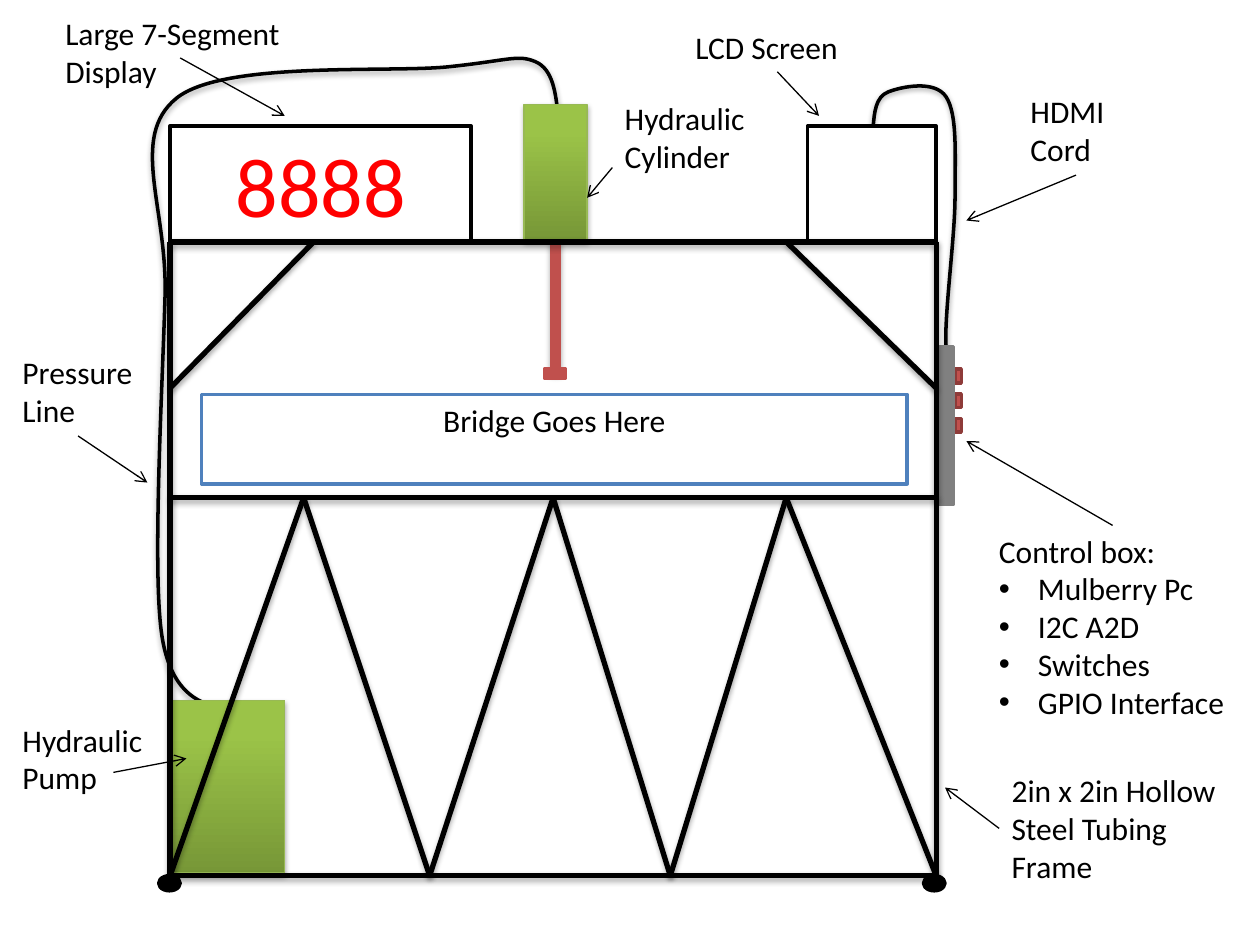
from itertools import pairwise

from lxml.etree import SubElement
from pptx import Presentation
from pptx.dml.color import RGBColor
from pptx.enum.shapes import MSO_CONNECTOR, MSO_SHAPE
from pptx.enum.text import MSO_ANCHOR, MSO_AUTO_SIZE, PP_ALIGN
from pptx.oxml.ns import qn
from pptx.util import Inches, Pt

BLACK, WHITE, RED, GREY = "000000", "FFFFFF", "C0504D", "808080"
TOP_SIDE, LEFT_SIDE, BOTTOM_SIDE = 0, 1, 2


def rgb(code):
    return RGBColor.from_string(code)


class Diagram:
    font = "Calibri"
    size = 18
    indent = Inches(0.31)

    def __init__(self, slide):
        self.shapes = slide.shapes

    def effects(self, sp, shadow):
        """Replace the theme effect with a soft drop shadow or with nothing."""
        effects = SubElement(sp._element.spPr, qn("a:effectLst"))
        if shadow:
            outer = SubElement(effects, qn("a:outerShdw"), blurRad=str(Pt(3.1)),
                               dist=str(Pt(1.8)), dir="5400000", rotWithShape="0")
            color = SubElement(outer, qn("a:srgbClr"), val=BLACK)
            SubElement(color, qn("a:alpha"), val="35000")

    def stroke(self, sp, color, width):
        sp.line.color.rgb = rgb(color)
        sp.line.width = Pt(width)

    def shape(self, box, fill, line, width=2, kind=MSO_SHAPE.RECTANGLE):
        sp = self.shapes.add_shape(kind, *map(Inches, box))
        sp.fill.solid()
        sp.fill.fore_color.rgb = rgb(fill)
        self.stroke(sp, line, width)
        self.effects(sp, False)
        return sp

    def hydraulic_part(self, box):
        """Green gradient block, dark at the bottom."""
        sp = self.shapes.add_shape(MSO_SHAPE.RECTANGLE, *map(Inches, box))
        sp.fill.gradient()
        sp.fill.gradient_angle = 90
        stops = ((0, "779737"), (0.8, "9BC348"))
        for stop, (position, color) in zip(sp.fill.gradient_stops, stops):
            stop.position = position
            stop.color.rgb = rgb(color)
        self.stroke(sp, "98B955", 0.75)
        self.effects(sp, True)
        return sp

    def line(self, start, end, color=BLACK, width=3, shadow=True):
        sp = self.shapes.add_connector(MSO_CONNECTOR.STRAIGHT,
                                       *map(Inches, (*start, *end)))
        self.stroke(sp, color, width)
        self.effects(sp, shadow)
        return sp

    def cable(self, points):
        """Cubic Bezier curve: a start point, then three points per segment."""
        start, *rest = [(Inches(x), Inches(y)) for x, y in points]
        builder = self.shapes.build_freeform(*start)
        builder.add_line_segments(rest, close=False)
        sp = builder.convert_to_shape()
        sp.fill.background()
        self.stroke(sp, BLACK, 2)
        self.effects(sp, True)
        track = next(sp._element.iter(qn("a:path")))
        steps = track.findall(qn("a:lnTo"))
        for i in range(0, len(steps), 3):
            curve = SubElement(track, qn("a:cubicBezTo"))
            for step in steps[i:i + 3]:
                curve.append(step[0])
                track.remove(step)

    def run(self, p, text, color=BLACK, size=None):
        r = p.add_run()
        r.text = text
        r.font.name = self.font
        r.font.size = Pt(size or self.size)
        r.font.color.rgb = rgb(color)

    def caption(self, sp, text, color=BLACK, size=None, anchor=MSO_ANCHOR.MIDDLE):
        tf = sp.text_frame
        tf.word_wrap = True
        tf.vertical_anchor = anchor
        p = tf.paragraphs[0]
        p.alignment = PP_ALIGN.CENTER
        self.run(p, text, color, size)

    def label(self, box, lines, bullets=()):
        sp = self.shapes.add_textbox(*map(Inches, box))
        tf = sp.text_frame
        tf.word_wrap = True
        tf.auto_size = MSO_AUTO_SIZE.SHAPE_TO_FIT_TEXT
        for i, text in enumerate((*lines, *bullets)):
            p = tf.add_paragraph() if i else tf.paragraphs[0]
            if i >= len(lines):
                pPr = p._p.get_or_add_pPr()
                pPr.set("marL", str(self.indent))
                pPr.set("indent", str(-self.indent))
                SubElement(pPr, qn("a:buFont"), typeface="Arial")
                SubElement(pPr, qn("a:buChar"), char="•")
            self.run(p, text)
        return sp

    def callout(self, box, lines, start, end, bullets=()):
        """Label with an arrow; start is a side of the label or a point."""
        sp = self.label(box, lines, bullets)
        free = isinstance(start, tuple)
        arrow = self.line(start if free else end, end, width=0.75, shadow=False)
        if not free:
            arrow.begin_connect(sp, start)
        SubElement(arrow.line._get_or_add_ln(), qn("a:tailEnd"), type="arrow")


LEFT, RIGHT, TOP, DECK, BASE = 1.35, 7.43, 1.92, 3.95, 6.95
BRACE_Y = 3.08
HDMI_CORD = [(6.93, 1.01), (6.94, 0.89), (6.95, 0.77), (7.05, 0.73),
             (7.15, 0.69), (7.42, 0.63), (7.51, 0.77),
             (7.6, 0.91), (7.58, 1.23), (7.58, 1.57),
             (7.58, 1.91), (7.47, 2.68), (7.52, 2.81)]
PRESSURE_LINE = [(4.43, 0.92), (4.41, 0.74), (4.39, 0.55), (4.25, 0.49),
                 (4.11, 0.43), (4.04, 0.48), (3.56, 0.53),
                 (3.09, 0.58), (1.77, 0.48), (1.4, 0.78),
                 (1.02, 1.09), (1.33, 1.65), (1.31, 2.35),
                 (1.29, 3.06), (1.21, 4.47), (1.28, 5.01),
                 (1.35, 5.56), (1.65, 5.58), (1.73, 5.62)]
CALLOUTS = [
    ((8.08, 0.68, 0.92, 0.71), ["HDMI Cord"], BOTTOM_SIDE, (7.67, 1.75)),
    ((5.42, 0.17, 1.5, 0.4), ["LCD Screen"], BOTTOM_SIDE, (6.5, 0.92)),
    ((0.42, 0.06, 2.13, 0.71), ["Large 7-Segment Display"], (1.43, 0.46), (2.26, 0.92)),
    ((4.86, 0.74, 1.31, 0.71), ["Hydraulic", "Cylinder"], (4.86, 1.33), (4.66, 1.57)),
    ((0.08, 2.75, 1.08, 0.71), ["Pressure", "Line"], BOTTOM_SIDE, (1.17, 3.83)),
    ((0.08, 5.67, 1.18, 0.71), ["Hydraulic Pump"], (0.9, 6.13), (1.48, 6.02)),
    ((7.93, 6.07, 1.92, 1.01), ["2in x 2in Hollow", "Steel Tubing Frame"],
     LEFT_SIDE, (7.5, 6.25)),
]


def draw_equipment(d):
    for i in range(3):
        d.shape((7.58, 2.93 + 0.195 * i, 0.05, 0.11), RED, "8E3B39")
    d.cable(HDMI_CORD)
    d.cable(PRESSURE_LINE)
    d.shape((6.41, 1, 1.02, 0.92), WHITE, BLACK)
    display = d.shape((LEFT, 1, 2.39, 0.92), WHITE, BLACK)
    d.caption(display, "8888", "FF0000", 48)
    cylinder = d.hydraulic_part((4.16, 0.83, 0.5, 1.08))
    piston = d.line((4.41, TOP), (4.41, 2.97), RED, 6)
    piston.begin_connect(cylinder, BOTTOM_SIDE)
    d.shape((4.32, 2.93, 0.17, 0.07), RED, RED)
    d.shape((RIGHT, 2.75, 0.14, 1.25), GREY, GREY)
    d.hydraulic_part((1.36, 5.56, 0.9, 1.37))


def draw_frame(d):
    for x in (LEFT, RIGHT):
        d.line((x, DECK), (x, BASE))
        d.line((x, TOP), (x, DECK))
    for y in (DECK, BASE, TOP):
        d.line((LEFT, y), (RIGHT, y))
    truss_x = (LEFT, 2.41, 3.41, 4.39, 5.32, 6.24, RIGHT)
    joints = [(x, DECK if i % 2 else BASE) for i, x in enumerate(truss_x)]
    for start, end in pairwise(joints):
        d.line(start, end)
    d.line((6.24, TOP), (RIGHT, BRACE_Y))
    d.line((2.49, TOP), (LEFT, BRACE_Y))
    for x in (1.26, 7.33):
        d.shape((x, BASE, 0.17, 0.12), BLACK, BLACK, kind=MSO_SHAPE.OVAL)


def main():
    prs = Presentation()
    prs.slide_width, prs.slide_height = Inches(10), Inches(7.5)
    d = Diagram(prs.slides.add_slide(prs.slide_layouts[6]))
    draw_equipment(d)
    draw_frame(d)
    d.callout((7.83, 4.17, 2, 1.62), ["Control box:"], TOP_SIDE, (7.67, 3.5),
              ["Mulberry Pc", "I2C A2D", "Switches", "GPIO Interface"])
    for callout in CALLOUTS:
        d.callout(*callout)
    bridge = d.shape((1.6, 3.13, 5.6, 0.71), WHITE, "4F81BD")
    d.caption(bridge, "Bridge Goes Here", anchor=MSO_ANCHOR.TOP)
    prs.save("out.pptx")


if __name__ == "__main__":
    main()
